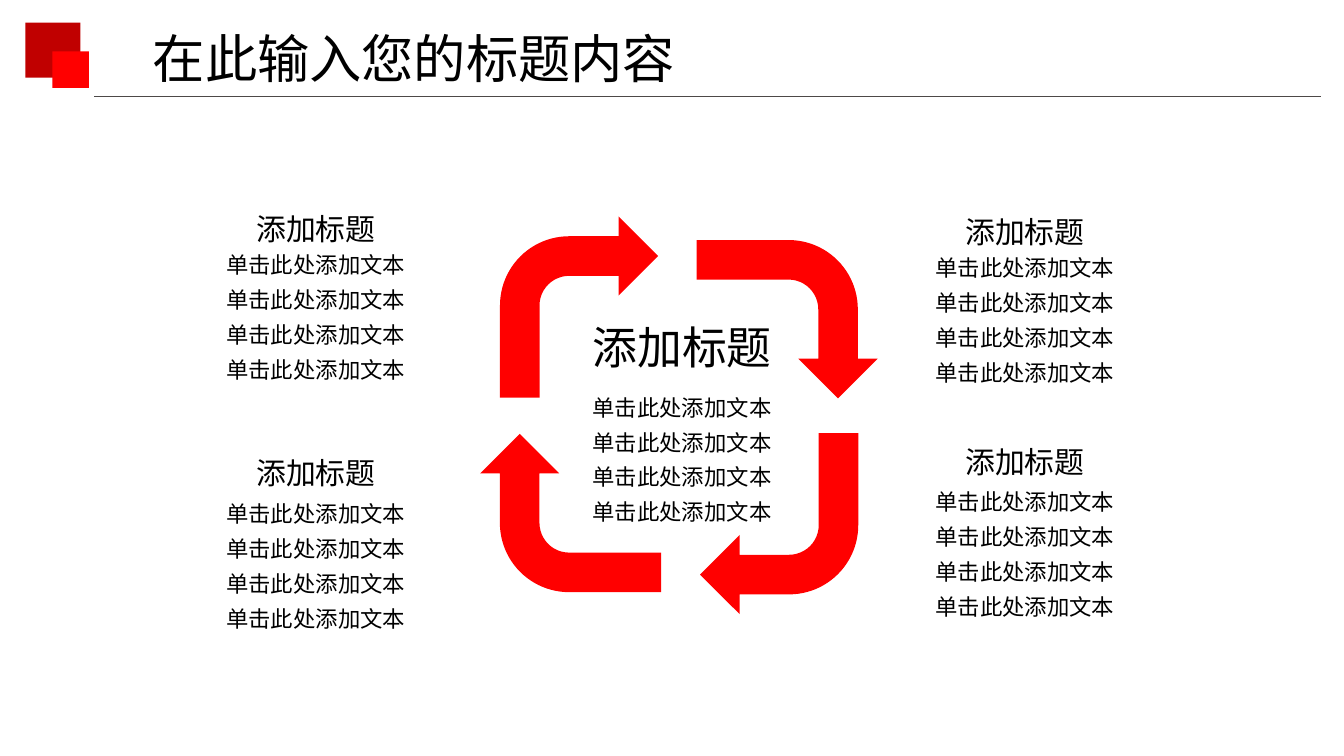
from lxml.etree import SubElement
from pptx import Presentation
from pptx.dml.color import RGBColor
from pptx.enum.shapes import MSO_CONNECTOR, MSO_SHAPE
from pptx.enum.text import MSO_AUTO_SIZE, PP_ALIGN
from pptx.oxml.ns import qn
from pptx.util import Cm, Pt

COLORS = {"dark": "C00000", "red": "FF0000", "rule": "4D4948", "text": "000000"}
FONT = "Noto Sans CJK SC"

TITLE = "在此输入您的标题内容"
HEADING = "添加标题"
BODY = ["单击此处添加文本"] * 4
BODY_WIDTH, BODY_HEIGHT = 5, 2.92

# center x, heading top, body top, heading width, heading height, heading size
BLOCKS = [
    (12.89, 5.92, 7.16, 4.55, 1.27, 24),
    (19.37, 3.91, 4.52, 3.81, 0.94, 16),
    (19.37, 8.26, 8.94, 3.81, 0.94, 16),
    (5.97, 3.86, 4.47, 3.81, 0.94, 16),
    (5.97, 8.46, 9.17, 3.81, 0.94, 16),
]
SQUARES = [(0.48, 0.43, 1.04, "dark"), (0.99, 0.97, 0.69, "red")]
ARROW_WIDTH, ARROW_HEIGHT = 2.99, 3.42
# left, top, rotation
ARROWS = [(9.45, 4.09, 0), (13.38, 4.32, 90), (9.29, 7.98, 270), (13.23, 8.18, 180)]


def color(name):
    return RGBColor.from_string(COLORS[name])


def add_filled(page, kind, left, top, width, height, fill):
    shape = page.shapes.add_shape(kind, Cm(left), Cm(top), Cm(width), Cm(height))
    shape.shadow.inherit = False
    shape.fill.solid()
    shape.fill.fore_color.rgb = color(fill)
    shape.line.fill.background()
    return shape


def add_text(page, lines, left, top, width, height, size,
             align=PP_ALIGN.CENTER, spacing=None):
    box = page.shapes.add_textbox(Cm(left), Cm(top), Cm(width), Cm(height))
    frame = box.text_frame
    frame.word_wrap = True
    frame.auto_size = MSO_AUTO_SIZE.SHAPE_TO_FIT_TEXT
    frame.text = "\n".join(lines)
    for paragraph in frame.paragraphs:
        paragraph.alignment = align
        paragraph.line_spacing = spacing
        paragraph.font.size = Pt(size)
        paragraph.font.color.rgb = color("text")
        paragraph.font.name = FONT
        defaults = paragraph._p.pPr.find(qn("a:defRPr"))
        SubElement(defaults, qn("a:ea")).set("typeface", FONT)


def add_rule(page, start, end, top):
    rule = page.shapes.add_connector(
        MSO_CONNECTOR.STRAIGHT, Cm(start), Cm(top), Cm(end), Cm(top))
    rule.line.color.rgb = color("rule")
    rule.line.width = Pt(0.75)
    SubElement(rule._element.spPr, qn("a:effectLst"))


def main():
    deck = Presentation()
    deck.slide_width, deck.slide_height = Cm(25.4), Cm(14.28)
    page = deck.slides.add_slide(deck.slide_layouts[6])

    for left, top, side, fill in SQUARES:
        add_filled(page, MSO_SHAPE.RECTANGLE, left, top, side, side, fill)
    add_rule(page, 1.78, 24.97, 1.82)
    add_text(page, [TITLE], 2.64, 0.38, 10.77, 1.45, 28, PP_ALIGN.LEFT)

    for left, top, rotation in ARROWS:
        arrow = add_filled(page, MSO_SHAPE.BENT_ARROW, left, top,
                           ARROW_WIDTH, ARROW_HEIGHT, "red")
        arrow.rotation = rotation

    for center, heading_top, body_top, width, height, size in BLOCKS:
        add_text(page, [HEADING], center - width / 2, heading_top, width, height, size)
        add_text(page, BODY, center - BODY_WIDTH / 2, body_top,
                 BODY_WIDTH, BODY_HEIGHT, 12, spacing=1.3)

    deck.save("out.pptx")


if __name__ == "__main__":
    main()
